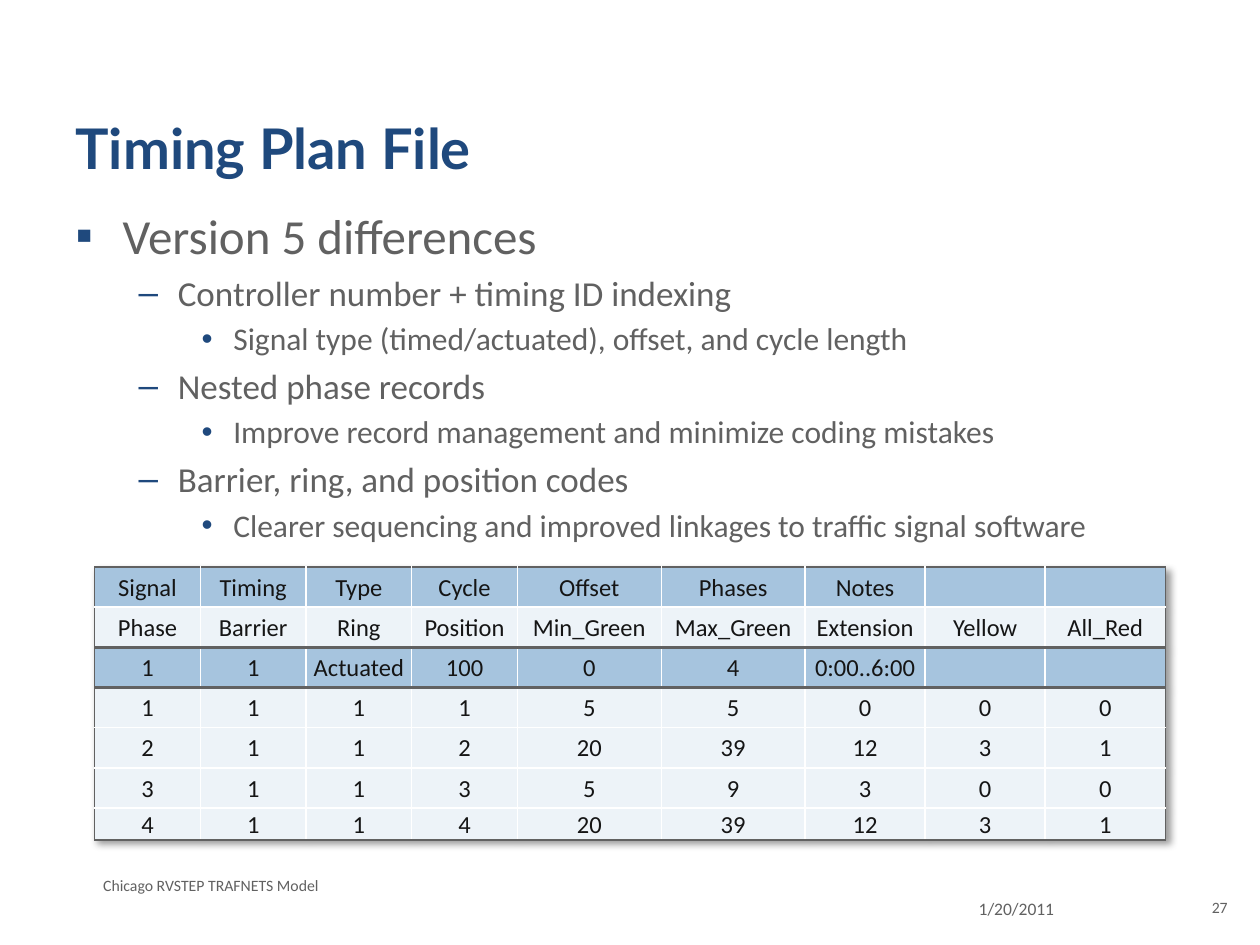
from dataclasses import dataclass

from lxml.etree import SubElement
from pptx import Presentation
from pptx.dml.color import RGBColor
from pptx.enum.text import MSO_ANCHOR, MSO_AUTO_SIZE, PP_ALIGN
from pptx.oxml import parse_xml
from pptx.oxml.ns import nsdecls, qn
from pptx.util import Cm, Pt

HUES = {"navy": "1F497D", "grey": "616161", "ink": "151515",
        "blue": "A6C4DE", "pale": "EDF3F8", "white": "FFFFFF"}


@dataclass(frozen=True)
class Box:
    left: float
    top: float
    width: float
    height: float

    def place(self) -> list:
        return [Cm(v) for v in (self.left, self.top, self.width, self.height)]


@dataclass(frozen=True)
class Level:
    mark: str
    size: float
    left: float
    hang: float


@dataclass(frozen=True)
class Note:
    text: str
    box: Box
    size: float
    align: PP_ALIGN = PP_ALIGN.LEFT


@dataclass(frozen=True)
class Rule:
    hue: str = "white"
    width: float = 1


LEVELS = [Level("▪", 28, 0.95, 0.95), Level("–", 20, 2.06, 0.79),
          Level("•", 18, 3.18, 0.64)]
POINTS = [
    (0, "Version 5 differences"),
    (1, "Controller number + timing ID indexing"),
    (2, "Signal type (timed/actuated), offset, and cycle length"),
    (1, "Nested phase records"),
    (2, "Improve record management and minimize coding mistakes"),
    (1, "Barrier, ring, and position codes"),
    (2, "Clearer sequencing and improved linkages to traffic signal software"),
]
NOTES = [
    Note("1/20/2011", Box(19.48, 17.98, 3.81, 0.84), 10),
    Note("Chicago RVSTEP TRAFNETS Model", Box(1.83, 17.53, 16.51, 0.64), 9),
    Note("27", Box(23.93, 17.98, 1.07, 0.81), 9, PP_ALIGN.RIGHT),
]
ROWS = [
    ["Signal", "Timing", "Type", "Cycle", "Offset", "Phases", "Notes", "", ""],
    ["Phase", "Barrier", "Ring", "Position", "Min_Green", "Max_Green",
     "Extension", "Yellow", "All_Red"],
    ["1", "1", "Actuated", "100", "0", "4", "0:00..6:00", "", ""],
    ["1", "1", "1", "1", "5", "5", "0", "0", "0"],
    ["2", "1", "1", "2", "20", "39", "12", "3", "1"],
    ["3", "1", "1", "3", "5", "9", "3", "0", "0"],
    ["4", "1", "1", "4", "20", "39", "12", "3", "1"],
]
WIDTHS = [2.13] * 4 + [2.9] * 2 + [2.42] * 3
HEIGHTS = [0.81] * 6 + [0.64]
THIN, EDGE, THICK = Rule(), Rule("grey"), Rule("grey", 2.25)
ACROSS = [EDGE, THIN, THICK, THICK, THIN, THIN, THIN, EDGE]
DOWN = [EDGE] + [THIN] * 8 + [EDGE]


def paint(name: str) -> RGBColor:
    return RGBColor.from_string(HUES[name])


def write(para, text: str, *, size: float, hue: str = "grey",
          face: str = "Calibri", bold: bool = False,
          align: PP_ALIGN = PP_ALIGN.LEFT) -> None:
    para.alignment = align
    run = para.add_run()
    run.text = text
    font = run.font
    font.name, font.size, font.bold = face, Pt(size), bold
    font.color.rgb = paint(hue)


def mark(para, level: Level) -> None:
    props = para._p.get_or_add_pPr()
    props.set("marL", str(Cm(level.left)))
    props.set("indent", str(-Cm(level.hang)))
    tint = SubElement(props, qn("a:buClr"))
    SubElement(tint, qn("a:srgbClr"), val=HUES["navy"])
    SubElement(props, qn("a:buFont"), typeface="Arial")
    SubElement(props, qn("a:buChar"), char=level.mark)


def move(shape, box: Box) -> None:
    shape.left, shape.top, shape.width, shape.height = box.place()


def head(shape) -> None:
    move(shape, Box(1.27, 0.76, 22.86, 3.18))
    frame = shape.text_frame
    frame.auto_size = MSO_AUTO_SIZE.NONE
    frame.vertical_anchor = MSO_ANCHOR.BOTTOM
    frame.margin_bottom = Cm(0.3)
    write(frame.paragraphs[0], "Timing Plan File", size=32, hue="navy",
          face="Lato", bold=True)


def fill_list(shape) -> None:
    move(shape, Box(1.27, 4.01, 22.86, 13))
    frame = shape.text_frame
    frame.auto_size = MSO_AUTO_SIZE.NONE
    for i, (depth, text) in enumerate(POINTS):
        para = frame.add_paragraph() if i else frame.paragraphs[0]
        para.level = depth
        mark(para, LEVELS[depth])
        write(para, text, size=LEVELS[depth].size)


def add_note(slide, note: Note) -> None:
    frame = slide.shapes.add_textbox(*note.box.place()).text_frame
    frame.word_wrap = True
    write(frame.paragraphs[0], note.text, size=note.size, align=note.align)


def border(cell, rules: list[Rule]) -> None:
    props = cell._tc.get_or_add_tcPr()
    for i, (side, rule) in enumerate(zip("LRTB", rules)):
        props.insert(i, parse_xml(
            f'<a:ln{side} {nsdecls("a")} w="{Pt(rule.width)}"><a:solidFill>'
            f'<a:srgbClr val="{HUES[rule.hue]}"/></a:solidFill></a:ln{side}>'))


def shade(table) -> None:
    table._tbl.tblPr.insert(0, parse_xml(
        f'<a:effectLst {nsdecls("a")}><a:outerShdw blurRad="50800" '
        'dist="38100" dir="2700000" algn="tl" rotWithShape="0">'
        '<a:srgbClr val="000000"><a:alpha val="40000"/></a:srgbClr>'
        '</a:outerShdw></a:effectLst>'))


def add_grid(slide) -> None:
    box = Box(1.91, 11.43, sum(WIDTHS), sum(HEIGHTS))
    table = slide.shapes.add_table(len(ROWS), len(WIDTHS), *box.place()).table
    table.first_row = table.horz_banding = False
    shade(table)
    for col, width in zip(table.columns, WIDTHS):
        col.width = Cm(width)
    for r, texts in enumerate(ROWS):
        table.rows[r].height = Cm(HEIGHTS[r])
        for c, text in enumerate(texts):
            cell = table.cell(r, c)
            cell.margin_left = cell.margin_right = cell.margin_top = Cm(0.03)
            cell.margin_bottom = 0
            cell.vertical_anchor = MSO_ANCHOR.MIDDLE
            cell.fill.solid()
            cell.fill.fore_color.rgb = paint("blue" if r in (0, 2) else "pale")
            border(cell, [DOWN[c], DOWN[c + 1], ACROSS[r], ACROSS[r + 1]])
            if text:
                write(cell.text_frame.paragraphs[0], text, size=14, hue="ink",
                      align=PP_ALIGN.CENTER)


def main() -> None:
    deck = Presentation()
    deck.slide_width, deck.slide_height = Cm(25.4), Cm(19.05)
    slide = deck.slides.add_slide(deck.slide_layouts[1])
    head(slide.shapes.title)
    fill_list(slide.placeholders[1])
    for note in NOTES:
        add_note(slide, note)
    add_grid(slide)
    deck.save("out.pptx")


if __name__ == "__main__":
    main()
